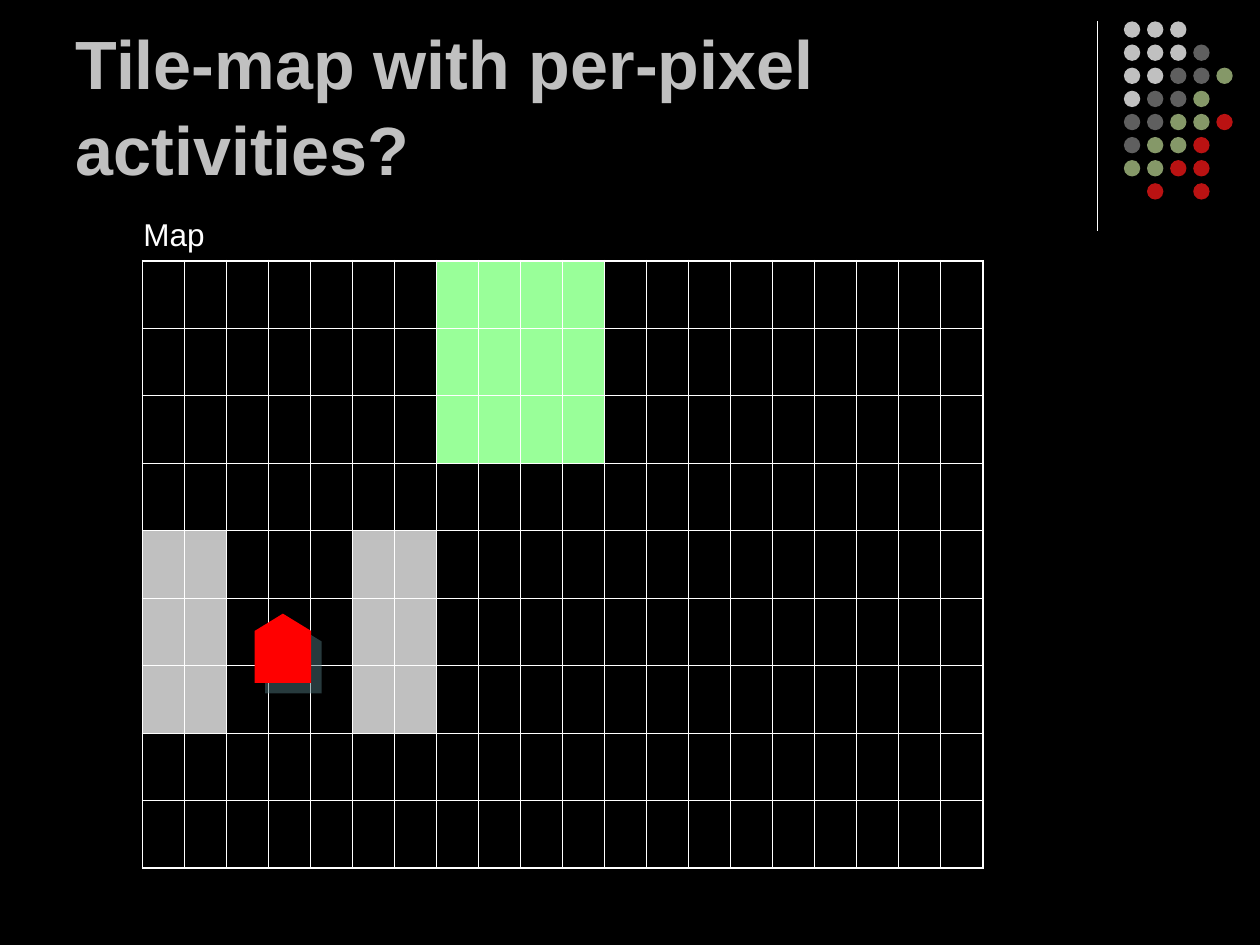
from dataclasses import dataclass

from lxml import etree
from pptx import Presentation
from pptx.dml.color import RGBColor
from pptx.enum.shapes import MSO_CONNECTOR, MSO_SHAPE
from pptx.enum.text import MSO_ANCHOR, MSO_AUTO_SIZE, PP_ALIGN
from pptx.oxml.ns import qn
from pptx.util import Inches, Pt

STRAIGHT = MSO_CONNECTOR.STRAIGHT
OVAL = MSO_SHAPE.OVAL
BOTTOM = MSO_ANCHOR.BOTTOM
NO_AUTOFIT = MSO_AUTO_SIZE.NONE
GROW = MSO_AUTO_SIZE.SHAPE_TO_FIT_TEXT
LEFT = PP_ALIGN.LEFT


@dataclass(frozen=True)
class Theme:
    background: str = "000000"
    white: str = "FFFFFF"
    silver: str = "C0C0C0"
    gray: str = "5F5F5F"
    olive: str = "859868"
    crimson: str = "BA1212"
    green: str = "99FF99"
    red: str = "FF0000"
    shadow: str = "4F747B"
    font: str = "Arial"
    title_size: float = 39
    label_size: float = 18
    rule_width: float = 0.75
    inner_border: float = 0.45
    outer_border: float = 1.08


THEME = Theme()

# One letter per dot: silver, gray, olive, crimson
DOT_ROWS = ["SSS", "SSSG", "SSGGO", "SGGO", "GGOOC", "GOOC", "OOCC", " C C"]
DOT_COLORS = {"S": THEME.silver, "G": THEME.gray, "O": THEME.olive, "C": THEME.crimson}

# One letter per tile: green area, wall, empty
MAP_ROWS = (
    [".......GGGG........."] * 3
    + ["...................."]
    + ["WW...WW............."] * 3
    + ["...................."] * 2
)
TILE_COLORS = {"G": THEME.green, "W": THEME.silver}


def rgb(color):
    return RGBColor.from_string(color)


def style_paragraph(paragraph, size, color, bold=False):
    paragraph.alignment = LEFT
    font = paragraph.font
    font.name, font.size, font.bold = THEME.font, Pt(size), bold
    font.color.rgb = rgb(color)


def add_rule(slide, x, top, bottom):
    rule = slide.shapes.add_connector(STRAIGHT, Inches(x), Inches(top), Inches(x), Inches(bottom))
    rule.line.color.rgb = rgb(THEME.white)
    rule.line.width = Pt(THEME.rule_width)
    etree.SubElement(rule._element.spPr, qn("a:effectLst"))


def add_dots(slide, left, top, pitch, diameter):
    group = slide.shapes.add_group_shape()
    for row, letters in enumerate(DOT_ROWS):
        for column, letter in enumerate(letters):
            if letter == " ":
                continue
            dot = group.shapes.add_shape(
                OVAL, Inches(left + column * pitch), Inches(top + row * pitch),
                Inches(diameter), Inches(diameter))
            dot.shadow.inherit = False
            dot.fill.solid()
            dot.fill.fore_color.rgb = rgb(DOT_COLORS[letter])
            dot.line.fill.background()


def set_title(slide, left, top, width, height):
    title = slide.shapes.title
    title.left, title.top = Inches(left), Inches(top)
    title.width, title.height = Inches(width), Inches(height)
    frame = title.text_frame
    frame.text = "Tile-map with per-pixel activities?"
    frame.vertical_anchor = BOTTOM
    frame.auto_size = NO_AUTOFIT
    paragraph = frame.paragraphs[0]
    style_paragraph(paragraph, THEME.title_size, THEME.silver, bold=True)
    paragraph.line_spacing = 1.05


def set_border(cell, side, width):
    properties = cell._tc.get_or_add_tcPr()
    line = etree.SubElement(properties, qn(f"a:ln{side}"), w=str(int(Pt(width))))
    fill = etree.SubElement(line, qn("a:solidFill"))
    etree.SubElement(fill, qn("a:srgbClr"), val=THEME.white)


def add_map(slide, left, top, width, height):
    row_count, column_count = len(MAP_ROWS), len(MAP_ROWS[0])
    table = slide.shapes.add_table(
        row_count, column_count, Inches(left), Inches(top), Inches(width), Inches(height)).table
    table.first_row = table.horz_banding = False
    for row, letters in enumerate(MAP_ROWS):
        for column, letter in enumerate(letters):
            cell = table.cell(row, column)
            on_edge = {
                "L": column == 0,
                "R": column == column_count - 1,
                "T": row == 0,
                "B": row == row_count - 1,
            }
            for side, outer in on_edge.items():
                set_border(cell, side, THEME.outer_border if outer else THEME.inner_border)
            if letter in TILE_COLORS:
                cell.fill.solid()
                cell.fill.fore_color.rgb = rgb(TILE_COLORS[letter])
            else:
                cell.fill.background()


def add_label(slide, left, top, width, height):
    box = slide.shapes.add_textbox(Inches(left), Inches(top), Inches(width), Inches(height))
    frame = box.text_frame
    frame.word_wrap = True
    frame.auto_size = GROW
    frame.text = "Map"
    paragraph = frame.paragraphs[0]
    style_paragraph(paragraph, THEME.label_size, THEME.white)
    paragraph.space_before = Pt(11.2)


def add_player(slide, left, top, width, height):
    # Arrow block that points right, then turned to point up
    shoulder, right = left + 0.75 * width, left + width
    middle, bottom = top + height / 2, top + height
    outline = [(shoulder, top), (right, middle), (shoulder, bottom), (left, bottom)]
    builder = slide.shapes.build_freeform(Inches(left), Inches(top))
    builder.add_line_segments([(Inches(x), Inches(y)) for x, y in outline], close=True)
    player = builder.convert_to_shape()
    player.rotation = 270
    player.fill.solid()
    player.fill.fore_color.rgb = rgb(THEME.red)
    player.line.fill.background()

    # Half-transparent shadow, down and to the right
    effects = etree.SubElement(player._element.spPr, qn("a:effectLst"))
    shadow = etree.SubElement(
        effects, qn("a:outerShdw"), blurRad="0", dist=str(int(Pt(8.5))),
        dir=str(45 * 60000), algn="ctr", rotWithShape="0")
    color = etree.SubElement(shadow, qn("a:srgbClr"), val=THEME.shadow)
    etree.SubElement(color, qn("a:alpha"), val="50000")


def main():
    presentation = Presentation()
    presentation.slide_width, presentation.slide_height = Inches(10), Inches(7.5)
    slide = presentation.slides.add_slide(presentation.slide_layouts[5])
    slide.background.fill.solid()
    slide.background.fill.fore_color.rgb = rgb(THEME.background)

    # Corner decoration
    add_rule(slide, 8.71, 0.17, 1.83)
    add_dots(slide, 8.92, 0.17, pitch=0.1835, diameter=0.13)

    # Title and tile map
    set_title(slide, 0.5, 0.13, 8.25, 1.42)
    add_map(slide, 1.13, 2.07, 6.67, 4.82)
    add_label(slide, 1.04, 1.66, 1.64, 0.4)
    add_player(slide, 1.97, 4.92, 0.55, 0.45)

    presentation.save("out.pptx")


if __name__ == "__main__":
    main()
